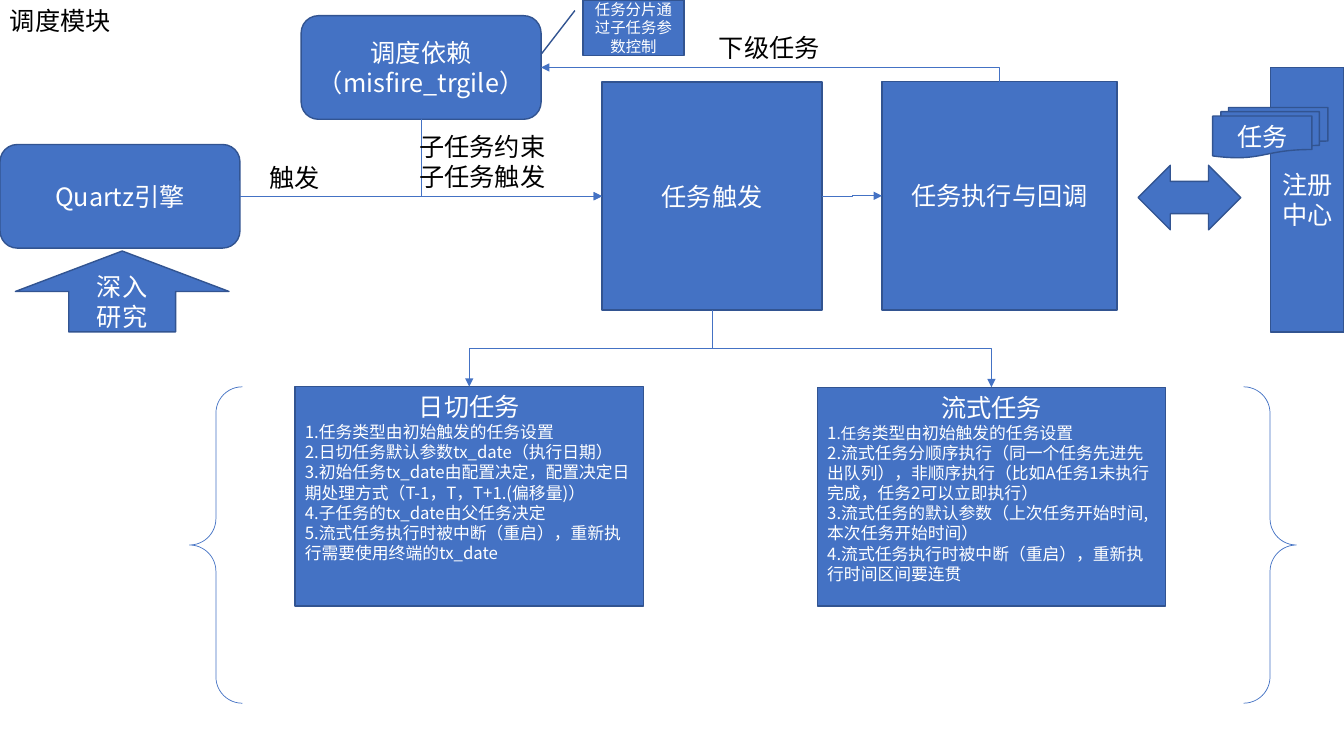
from lxml import etree
from pptx import Presentation
from pptx.dml.color import RGBColor
from pptx.enum.shapes import MSO_CONNECTOR, MSO_SHAPE
from pptx.enum.text import MSO_ANCHOR, MSO_AUTO_SIZE, PP_ALIGN
from pptx.oxml.ns import qn
from pptx.util import Pt

RECT, ROUND = MSO_SHAPE.RECTANGLE, MSO_SHAPE.ROUNDED_RECTANGLE
UP, BOTH = MSO_SHAPE.UP_ARROW, MSO_SHAPE.LEFT_RIGHT_ARROW
BRACE, DOCS = MSO_SHAPE.DOUBLE_BRACE, MSO_SHAPE.FLOWCHART_MULTIDOCUMENT
CALL, ELBOW = MSO_SHAPE.LINE_CALLOUT_1, MSO_CONNECTOR.ELBOW
MID, TOP = MSO_ANCHOR.MIDDLE, MSO_ANCHOR.TOP
LEFT, MIDDLE = PP_ALIGN.LEFT, PP_ALIGN.CENTER
GROW = MSO_AUTO_SIZE.SHAPE_TO_FIT_TEXT
FONT = "Noto Sans CJK SC"
BLUE, EDGE, WHITE, BLACK = "4472C4", "325491", "FFFFFF", "000000"
N, W, S, E = range(4)  # connection sites of a box

color = RGBColor.from_string


def write(frame, lines, size=18, ink=WHITE, align=MIDDLE, anchor=MID, first=True):
    """Fill a frame; a line is a string or a list of (text, size) runs."""
    frame.vertical_anchor = anchor
    for i, line in enumerate(lines):
        para = frame.paragraphs[0] if first and i == 0 else frame.add_paragraph()
        para.alignment = align
        for text, pts in [(line, size)] if isinstance(line, str) else line:
            run = para.add_run()
            run.text = text
            run.font.size = Pt(pts)
            run.font.name = FONT
            run.font.color.rgb = color(ink)
            etree.SubElement(run.font._element, qn("a:ea")).set("typeface", FONT)


deck = Presentation()
deck.slide_width, deck.slide_height = Pt(960), Pt(540)
slide = deck.slides.add_slide(deck.slide_layouts[6])
shapes = slide.shapes

# Boxes, arrows and the brace
parts = {
    "quartz": (ROUND, 0, 103.2, 171.4, 74, ["Quartz引擎"]),
    "depend": (ROUND, 215.1, 11.2, 171.4, 74, ["调度依赖", "（misfire_trgile）"]),
    "fire": (RECT, 430, 58.6, 157.3, 163, ["任务触发"]),
    "run": (RECT, 630, 58.4, 167.9, 163, ["任务执行与回调"]),
    "brace": (BRACE, 135.4, 276.3, 790.6, 226, []),
    "daily": (RECT, 210.7, 276.2, 249, 156.7, []),
    "stream": (RECT, 583.8, 276.6, 248.8, 156.2, []),
    "study": (UP, 11, 179.3, 152.6, 57.8, ["深入", "研究"]),
    "swap": (BOTH, 812.9, 118.1, 73.4, 46.1, []),
    "center": (RECT, 907.6, 48.3, 52.4, 188.8, ["注册中心"]),
    "docs": (DOCS, 866.2, 76.8, 82.3, 36, ["任务"]),
    "call": (CALL, 416.4, 0, 72.2, 39.6, ["任务分片通过子任务参数控制"]),
}
box = {}
for key, (kind, x, y, w, h, lines) in parts.items():
    shape = box[key] = shapes.add_shape(kind, Pt(x), Pt(y), Pt(w), Pt(h))
    shape.shadow.inherit = False
    if kind == BRACE:
        shape.fill.background()
    else:
        shape.fill.solid()
        shape.fill.fore_color.rgb = color(BLUE)
    shape.line.color.rgb = color(BLUE if kind == BRACE else EDGE)
    shape.line.width = Pt(0.5 if kind == BRACE else 1)
    if lines:
        write(shape.text_frame, lines, size=11 if kind == CALL else 18)

for i, value in enumerate([0.19, -0.08, 0.97, -0.41]):
    box["call"].adjustments[i] = value

# Task rules: centred title, then left-aligned list
rules = {
    "daily": ("日切任务", [
        "1.任务类型由初始触发的任务设置",
        "2.日切任务默认参数tx_date（执行日期）",
        "3.初始任务tx_date由配置决定，配置决定日期处理方式（T-1，T，T+1.(偏移量)）",
        "4.子任务的tx_date由父任务决定",
        "5.流式任务执行时被中断（重启），重新执行需要使用终端的tx_date",
    ]),
    "stream": ("流式任务", [
        [("1", 12), (".任务", 11), ("类型由初始触发的任务设置", 12)],
        "2.流式任务分顺序执行（同一个任务先进先出队列），非顺序执行（比如A任务1未执行完成，任务2可以立即执行）",
        "3.流式任务的默认参数（上次任务开始时间,本次任务开始时间）",
        "4.流式任务执行时被中断（重启），重新执行时间区间要连贯",
    ]),
}
for key, (title, items) in rules.items():
    frame = box[key].text_frame
    write(frame, [title], anchor=TOP)
    write(frame, items, size=12, align=LEFT, anchor=TOP, first=False)

# Elbow arrows: from, site, to, site, preset, turn in degrees, flip, arrow end
links = [
    ("quartz", E, "fire", W, "bentConnector3", 0, None, "tailEnd"),
    ("depend", E, "run", N, "bentConnector2", 0, None, "headEnd"),
    ("depend", S, "fire", W, "bentConnector2", 270, "flipH", "tailEnd"),
    ("fire", E, "run", W, "bentConnector3", 0, "flipV", "tailEnd"),
    ("fire", S, "daily", N, "bentConnector3", 90, None, "tailEnd"),
    ("fire", S, "stream", N, "bentConnector3", 270, "flipH", "tailEnd"),
]
for a, out, b, into, bend, turn, flip, tip in links:
    link = shapes.add_connector(ELBOW, 0, 0, 0, 0)
    link.begin_connect(box[a], out)
    link.end_connect(box[b], into)
    link.line.color.rgb = color(BLUE)
    link.line.width = Pt(0.5)
    props = link._element.spPr
    props.find(qn("a:prstGeom")).set("prst", bend)
    etree.SubElement(props.find(qn("a:ln")), qn("a:" + tip)).set("type", "triangle")
    etree.SubElement(props, qn("a:effectLst"))
    frame = props.find(qn("a:xfrm"))
    for name in ("flipH", "flipV"):
        frame.set(name, "1" if name == flip else "0")
    if turn:  # a turned frame swaps its sides about its centre
        w, h = link.width, link.height
        link.left, link.top = link.left + (w - h) // 2, link.top + (h - w) // 2
        link.width, link.height = h, w
        frame.set("rot", str(turn * 60000))

# Labels
for x, y, w, h, lines in [
    (0, 0, 87, 29, ["调度模块"]),
    (292.5, 90, 105, 51, ["子任务约束", "子任务触发"]),
    (185.3, 112.7, 51, 29, ["触发"]),
    (506.4, 19.6, 87, 29, ["下级任务"]),
]:
    label = shapes.add_textbox(Pt(x), Pt(y), Pt(w), Pt(h))
    frame = label.text_frame
    frame.word_wrap = False
    frame.auto_size = GROW
    write(frame, lines, ink=BLACK, align=LEFT, anchor=TOP)

deck.save("out.pptx")
